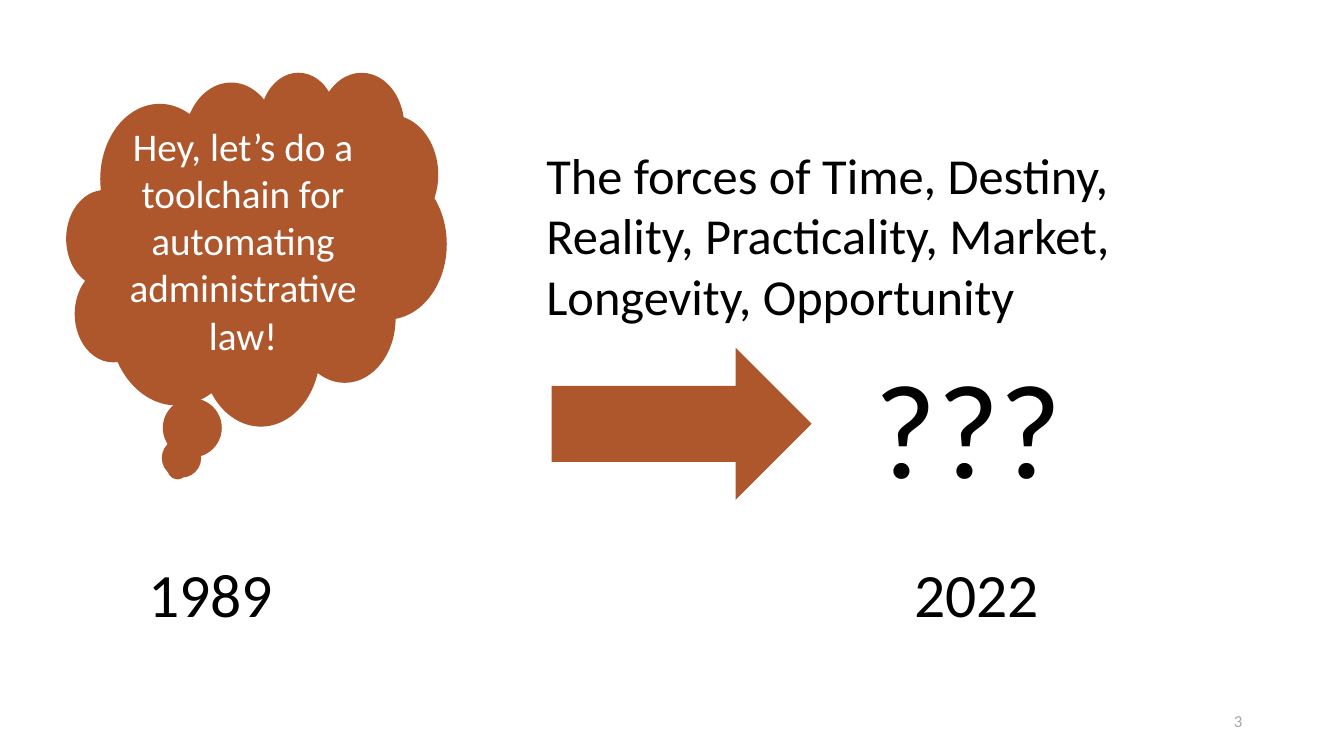
from pptx import Presentation
from pptx.dml.color import RGBColor
from pptx.enum.shapes import MSO_SHAPE as Preset
from pptx.enum.text import MSO_ANCHOR as Anchor, PP_ALIGN as Align
from pptx.util import Inches, Pt

RUST = RGBColor(0xAE, 0x56, 0x2C)
WHITE = RGBColor(0xFF, 0xFF, 0xFF)
BLACK = RGBColor(0x00, 0x00, 0x00)
GREY = RGBColor(0xA6, 0xA6, 0xA6)


class SlideBuilder:
    font_name = "Calibri"

    def __init__(self, slide):
        self.slide = slide

    def set_text(self, shape, text, size, color, align, anchor):
        frame = shape.text_frame
        frame.text = text
        frame.word_wrap = True
        frame.vertical_anchor = anchor
        paragraph = frame.paragraphs[0]
        paragraph.alignment = align
        font = paragraph.runs[0].font
        font.name = self.font_name
        font.size = Pt(size)
        font.color.rgb = color

    def add_text(self, text, box, size, color=BLACK, align=Align.LEFT, anchor=Anchor.TOP):
        label = self.slide.shapes.add_textbox(*map(Inches, box))
        self.set_text(label, text, size, color, align, anchor)

    def add_shape(self, preset, box, text="", size=28):
        shape = self.slide.shapes.add_shape(preset, *map(Inches, box))
        shape.shadow.inherit = False
        shape.fill.solid()
        shape.fill.fore_color.rgb = RUST
        shape.line.fill.background()
        if text:
            self.set_text(shape, text, size, WHITE, Align.CENTER, Anchor.MIDDLE)


def main():
    deck = Presentation()
    deck.slide_width = Inches(13.33)
    deck.slide_height = Inches(7.5)
    builder = SlideBuilder(deck.slides.add_slide(deck.slide_layouts[6]))

    builder.add_shape(
        Preset.CLOUD_CALLOUT,
        (0.66, 0.71, 3.77, 3.51),
        "Hey, let’s do a toolchain for automating administrative law!",
    )
    builder.add_text(
        "The forces of Time, Destiny, Reality, Practicality, Market, Longevity, Opportunity",
        (5.32, 1.38, 6.37, 1.92),
        36,
    )
    for year, left in (("1989", 1.37), ("2022", 8.97)):
        builder.add_text(year, (left, 5.47, 2.34, 0.84), 44)
    builder.add_text("???", (8.58, 3.36, 2.34, 1.72), 96)
    builder.add_shape(Preset.RIGHT_ARROW, (5.47, 3.45, 2.58, 1.51))
    builder.add_text("3", (9.42, 6.95, 3, 0.4), 12, GREY, Align.RIGHT, Anchor.MIDDLE)

    deck.save("out.pptx")


if __name__ == "__main__":
    main()
